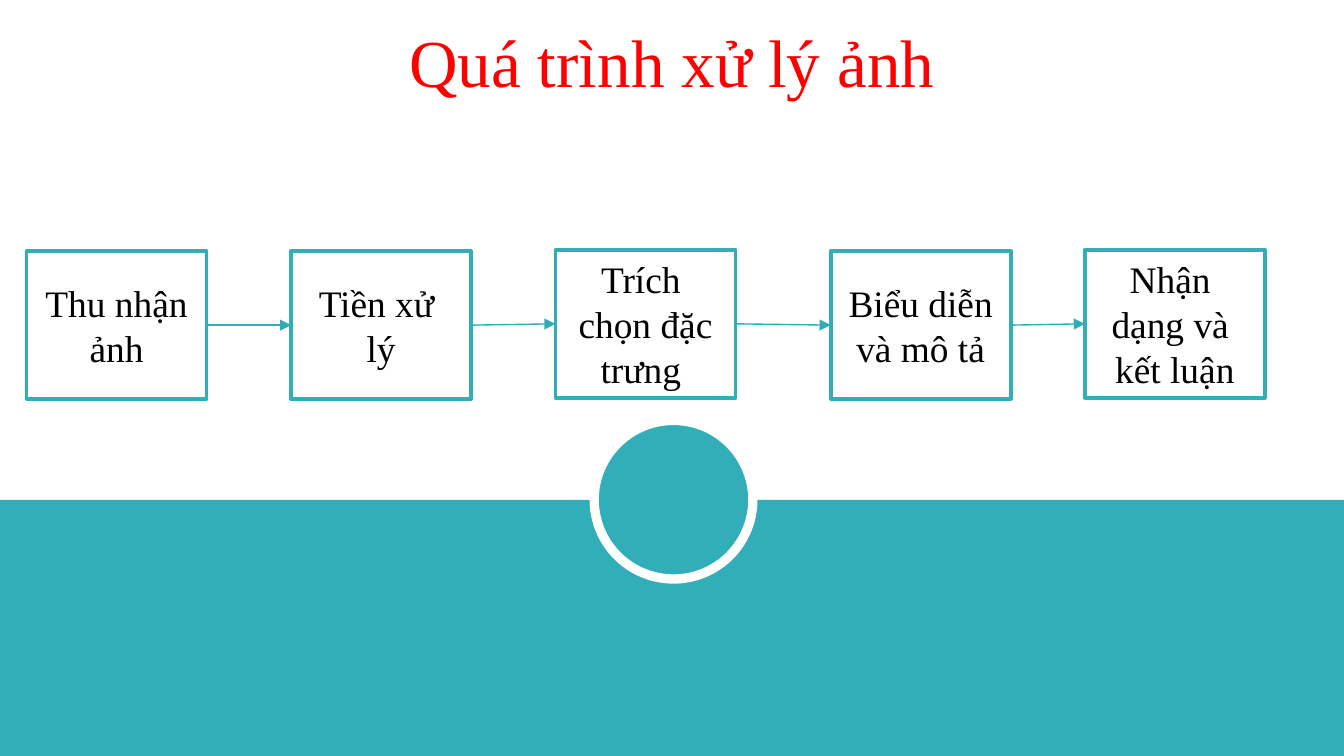
from lxml import etree
from pptx import Presentation
from pptx import util as u
from pptx.dml import color
from pptx.enum import shapes, text
from pptx.oxml import ns

Pt = u.Pt
COLOURS = {
    "teal": "32AEB8",
    "arrow": "2EADB7",
    "white": "FFFFFF",
    "black": "000000",
    "red": "FF0000",
}
SLIDE_WIDTH, SLIDE_HEIGHT = 720, 405
STEP_WIDTH, STEP_HEIGHT = 96.5, 79.2
RIGHT_SITE, LEFT_SITE = 3, 1
STEPS = [
    (14.2, 134.6, ["Thu nhận ảnh"]),
    (156, 134.6, ["Tiền xử ", "lý"]),
    (297.6, 133.9, ["Trích ", "chọn đặc trưng "]),
    (445, 134.6, ["Biểu diễn và mô tả"]),
    (581.2, 133.9, ["Nhận ", "dạng và ", "kết luận"]),
]


def rgb(name):
    return color.RGBColor.from_string(COLOURS[name])


def apply(target, values):
    for name, value in values.items():
        setattr(target, name, value)


def write(holder, lines, size, colour, space_before=0):
    frame = holder.text_frame
    apply(frame, {"word_wrap": True, "vertical_anchor": text.MSO_ANCHOR.MIDDLE})
    frame.text = "\n".join(lines)
    for paragraph in frame.paragraphs:
        apply(paragraph, {
            "alignment": text.PP_ALIGN.CENTER,
            "space_before": Pt(space_before),
        })
        apply(paragraph.font, {"name": "Times New Roman", "size": Pt(size)})
        paragraph.font.color.rgb = rgb(colour)


def add_figure(slide, kind, box, fill, line=None, line_width=0):
    figure = slide.shapes.add_shape(kind, *map(Pt, box))
    figure.shadow.inherit = False
    figure.fill.solid()
    figure.fill.fore_color.rgb = rgb(fill)
    if line:
        figure.line.color.rgb = rgb(line)
        figure.line.width = Pt(line_width)
    else:
        figure.line.fill.background()
    return figure


def add_title(slide, title):
    heading = slide.shapes.add_textbox(*map(Pt, (0, 10, SLIDE_WIDTH, 45.4)))
    write(heading, [title], 36, "red", space_before=7.2)


def add_step(slide, left, top, lines):
    step = add_figure(slide, shapes.MSO_SHAPE.RECTANGLE,
                      (left, top, STEP_WIDTH, STEP_HEIGHT), "white", "teal", 2)
    write(step, lines, 20, "black")
    return step


def add_arrow(slide, source, target):
    arrow = slide.shapes.add_connector(shapes.MSO_CONNECTOR.STRAIGHT, 0, 0, 0, 0)
    arrow.begin_connect(source, RIGHT_SITE)
    arrow.end_connect(target, LEFT_SITE)
    arrow.line.color.rgb = rgb("arrow")
    arrow.line.width = Pt(0.75)
    etree.SubElement(arrow.line._get_or_add_ln(), ns.qn("a:tailEnd"), type="triangle")
    etree.SubElement(arrow._element.spPr, ns.qn("a:effectLst"))


def main():
    deck = Presentation()
    apply(deck, {"slide_width": Pt(SLIDE_WIDTH), "slide_height": Pt(SLIDE_HEIGHT)})
    slide = deck.slides.add_slide(deck.slide_layouts[6])

    band_top = 267.8
    add_figure(slide, shapes.MSO_SHAPE.RECTANGLE,
               (0, band_top, SLIDE_WIDTH, SLIDE_HEIGHT - band_top), "teal")
    add_figure(slide, shapes.MSO_SHAPE.OVAL, (318.3, 225.2, 85, 85), "teal", "white", 5)

    add_title(slide, "Quá trình xử lý ảnh")
    steps = [add_step(slide, *step) for step in STEPS]
    for source, target in zip(steps, steps[1:]):
        add_arrow(slide, source, target)

    deck.save("out.pptx")


if __name__ == "__main__":
    main()
